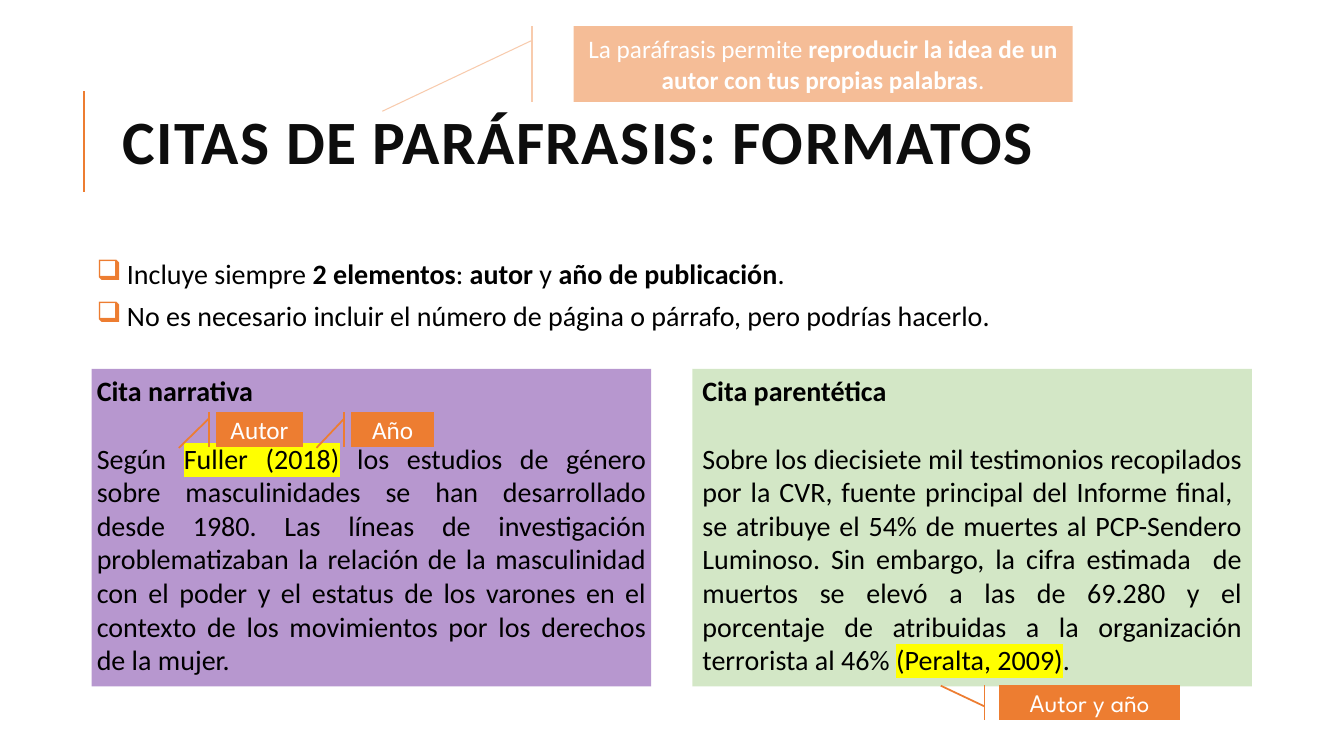
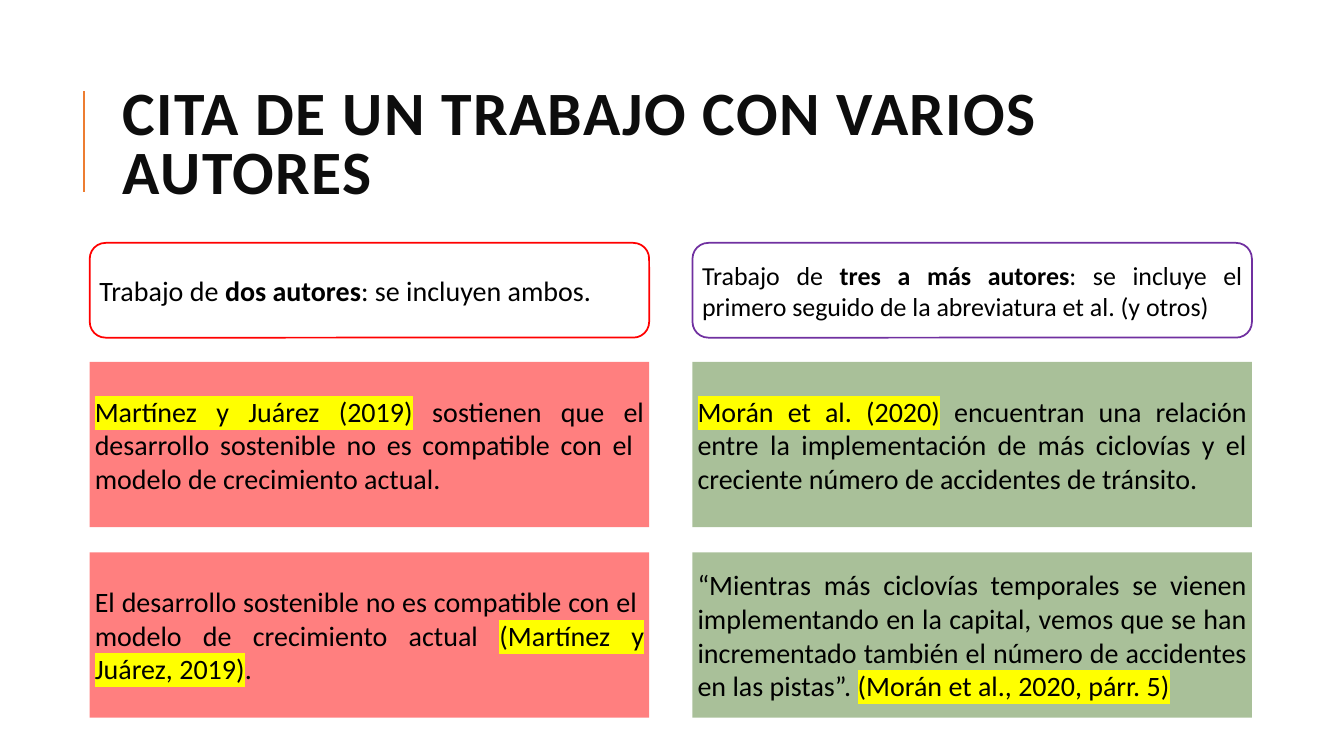
from dataclasses import dataclass

from lxml.etree import SubElement
from pptx import Presentation
from pptx.dml.color import RGBColor
from pptx.enum.shapes import MSO_CONNECTOR as Link, MSO_SHAPE as Kind
from pptx.enum.text import MSO_ANCHOR as Anchor, MSO_AUTO_SIZE as Auto, PP_ALIGN as Align
from pptx.oxml.ns import qn
from pptx.util import Pt

HUES = {
    "accent": "ED7D31", "pale": "F8CBAD", "title": "0D0D0D", "black": "000000",
    "white": "FFFFFF", "purple": "7030A0", "mint": "A9D18E", "red": "FF0000",
    "green": "548235", "mark": "FFFF00",
}
FONT = "Calibri"
LEFT, RIGHT, WIDE = 64.1, 494.64, 399.6
TIGHT = (3.6, 3.6, 3.6, 3.6)
LOOSE = (7.2, 3.6, 7.2, 3.6)


@dataclass
class Card:
    """A text panel; in its text * toggles bold and ~ toggles the marker."""
    x: float
    y: float
    high: float
    text: list[str]
    fill: str
    line: str | None = None
    alpha: int = 50
    size: float = 20
    pad: tuple = TIGHT
    mid: bool = True


@dataclass
class Call:
    """A callout with an accent bar and a leader line."""
    x: float
    y: float
    wide: float
    high: float
    text: str
    bend: tuple = (0.1875, -0.0833, 1.125, -0.3833)
    font: str = FONT
    line: str = "accent"
    weight: float = 1.25
    alpha: int = 100


def hue(name: str) -> RGBColor:
    """Return a named colour."""
    return RGBColor.from_string(HUES[name])


def mark(run) -> None:
    """Put a highlight behind a run."""
    props = run._r.get_or_add_rPr()
    tag = SubElement(props, qn("a:highlight"))
    SubElement(tag, qn("a:srgbClr"), val=HUES["mark"])
    props.find(qn("a:latin")).addprevious(tag)


def bullet(para) -> None:
    """Give a paragraph a hanging square bullet."""
    props = para._p.get_or_add_pPr()
    props.set("marL", str(Pt(21.6)))
    props.set("indent", str(-Pt(21.6)))
    SubElement(SubElement(props, qn("a:buClr")), qn("a:srgbClr"), val=HUES["accent"])
    SubElement(props, qn("a:buChar"), char="❑")


def write(frame, text: list[str], *, size: float = 20, color: str = "black",
          font: str = FONT, bold: bool = False, align=Align.JUSTIFY,
          before: float = 0, after: float = 0, lead: float | None = None,
          track: int = 0, dots: bool = False, pad: tuple = LOOSE,
          anchor=Anchor.TOP) -> None:
    """Fill a text frame with formatted paragraphs."""
    frame.word_wrap, frame.auto_size = True, Auto.NONE
    frame.vertical_anchor = anchor
    (frame.margin_left, frame.margin_top,
     frame.margin_right, frame.margin_bottom) = map(Pt, pad)
    for row, line in enumerate(text):
        para = frame.add_paragraph() if row else frame.paragraphs[0]
        para.alignment = align
        para.space_before, para.space_after = Pt(before), Pt(after)
        if lead:
            para.line_spacing = lead
        if dots:
            bullet(para)
        for i, chunk in enumerate(line.split("~")):
            for j, part in enumerate(chunk.split("*")):
                if not part:
                    continue
                run = para.add_run()
                run.text = part
                run.font.size, run.font.name = Pt(size), font
                run.font.bold = bold or j % 2 == 1
                run.font.color.rgb = hue(color)
                if track:
                    run._r.get_or_add_rPr().set("spc", str(track))
                if i % 2:
                    mark(run)


def shape(slide, kind, box: tuple, fill: str, alpha: int,
          line: str | None, weight: float = 1.25):
    """Add a filled preset shape without a shadow."""
    item = slide.shapes.add_shape(kind, *map(Pt, box))
    item.shadow.inherit = False
    item.fill.solid()
    item.fill.fore_color.rgb = hue(fill)
    if alpha < 100:
        tone = item.element.find(".//" + qn("a:srgbClr"))
        SubElement(tone, qn("a:alpha"), val=str(alpha * 1000))
    if line:
        item.line.color.rgb = hue(line)
        item.line.width = Pt(weight)
    else:
        item.line.fill.background()
    return item


def panel(slide, card: Card) -> None:
    """Draw a card, rounded when it has an outline."""
    kind = Kind.ROUNDED_RECTANGLE if card.line else Kind.RECTANGLE
    item = shape(slide, kind, (card.x, card.y, WIDE, card.high),
                 card.fill, card.alpha, card.line)
    # A card with a heading leaves one line of space below it.
    before, after = (12, 2) if card.mid else (24, 0)
    write(item.text_frame, card.text, size=card.size, pad=card.pad,
          before=before, after=after,
          anchor=Anchor.MIDDLE if card.mid else Anchor.TOP)
    if not card.mid:
        item.text_frame.paragraphs[0].space_before = Pt(0)


def callout(slide, call: Call) -> None:
    """Draw a callout."""
    item = shape(slide, Kind.LINE_CALLOUT_1_ACCENT_BAR,
                 (call.x, call.y, call.wide, call.high),
                 "accent", call.alpha, call.line, call.weight)
    for i, value in enumerate(call.bend):
        item.adjustments[i] = value
    write(item.text_frame, [call.text], size=18, color="white", font=call.font,
          align=Align.CENTER, anchor=Anchor.MIDDLE)


def start(deck, title: str):
    """Add a slide with the shared side rule and title."""
    slide = deck.slides.add_slide(deck.slide_layouts[5])
    rule = slide.shapes.add_connector(Link.STRAIGHT, Pt(59.8), Pt(136.8),
                                      Pt(59.8), Pt(64.8))
    rule.line.color.rgb = hue("accent")
    rule.line.width = Pt(1.5)
    SubElement(rule.element.spPr, qn("a:effectLst"))
    head = slide.shapes.title
    head.left, head.top, head.width, head.height = map(Pt, (80.64, 46.08, 765.36, 118.08))
    write(head.text_frame, [title], size=44, color="title", bold=True, lead=0.8,
          track=100, align=Align.LEFT, anchor=Anchor.MIDDLE)
    return slide


def formats(deck) -> None:
    """Build the slide on paraphrase formats."""
    slide = start(deck, "CITAS DE PARÁFRASIS: FORMATOS")
    notes = slide.shapes.add_textbox(*map(Pt, (65.5, 180, 828, 67.68)))
    write(notes.text_frame, [
        "Incluye siempre *2 elementos*: *autor* y *año de publicación*.",
        "No es necesario incluir el número de página o párrafo, pero podrías hacerlo.",
    ], before=6, dots=True, pad=TIGHT)
    for card in (
        Card(65.5, 263.52, 226.8, [
            "*Cita narrativa*",
            "Según ~Fuller (2018)~ los estudios de género sobre masculinidades se han "
            "desarrollado desde 1980. Las líneas de investigación problematizaban la "
            "relación de la masculinidad con el poder y el estatus de los varones en el "
            "contexto de los movimientos por los derechos de la mujer.",
        ], "purple", mid=False),
        Card(RIGHT, 263.52, 226.8, [
            "*Cita parentética*",
            "Sobre los diecisiete mil testimonios recopilados por la CVR, fuente principal "
            "del Informe final,  se atribuye el 54% de muertes al PCP-Sendero Luminoso. "
            "Sin embargo, la cifra estimada  de muertos se elevó a las de 69.280 y el "
            "porcentaje de atribuidas a la organización terrorista al 46% "
            "~(Peralta, 2009)~.",
        ], "mint", pad=LOOSE, mid=False),
    ):
        panel(slide, card)
    for call in (
        Call(154.08, 294.48, 62.64, 24.48, "Autor", (0.19, -0.08, 1.04, -0.42)),
        Call(250.56, 294.48, 59.76, 24.48, "Año", (0.19, -0.08, 1.04, -0.41)),
        Call(409.68, 18.72, 356.4, 54,
             "La paráfrasis permite *reproducir la idea de un autor con tus "
             "propias palabras*.", line="pale", weight=0.75, alpha=50),
        Call(713.52, 489.6, 129.6, 24.48, "Autor y año",
             (0.61, -0.08, 0.01, -0.32), font="League Spartan"),
    ):
        callout(slide, call)


def authors(deck) -> None:
    """Build the slide on works by several authors."""
    slide = start(deck, "CITA DE UN TRABAJO CON VARIOS AUTORES")
    columns = (
        (LEFT, "red", "red", 20, (
            "Trabajo de *dos autores*: se incluyen ambos.",
            "~Martínez y Juárez (2019)~ sostienen que el desarrollo sostenible no es "
            "compatible con el  modelo de crecimiento actual.",
            "El desarrollo sostenible no es compatible con el  modelo de crecimiento "
            "actual ~(Martínez y Juárez, 2019)~.",
        )),
        (RIGHT, "purple", "green", 18.5, (
            "Trabajo de *tres a más autores*: se incluye el primero seguido de la "
            "abreviatura et al. (y otros)",
            "~Morán et al. (2020)~ encuentran una relación entre la implementación de "
            "más ciclovías y el creciente número de accidentes de tránsito.",
            "“Mientras más ciclovías temporales se vienen implementando en la capital, "
            "vemos que se han incrementado también el número de accidentes en las "
            "pistas”. ~(Morán et al., 2020, párr. 5)~",
        )),
    )
    for x, line, fill, size, (head, *cites) in columns:
        panel(slide, Card(x, 173.52, 67.68, [head], "white", line, 100, size))
        for row, cite in enumerate(cites):
            panel(slide, Card(x, 258.48 + row * 136.08, 118.08, [cite], fill))


def main() -> None:
    """Build and save the deck."""
    deck = Presentation()
    deck.slide_width, deck.slide_height = Pt(960), Pt(540)
    formats(deck)
    authors(deck)
    deck.save("out.pptx")


main()
